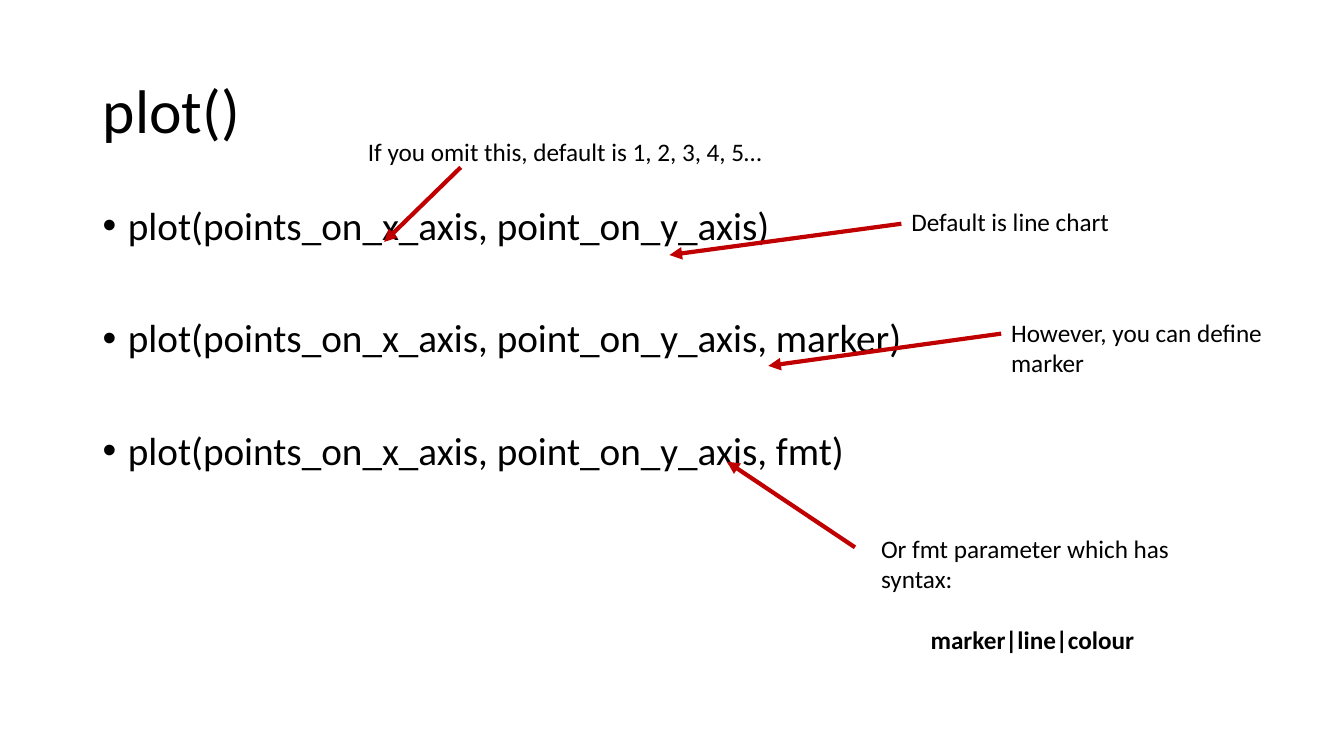
import pptx
import pptx.dml.color
import pptx.enum.shapes
import pptx.enum.text
import pptx.oxml
import pptx.oxml.ns
import pptx.util
from pptx.util import Inches

COLOURS = {"text": "000000", "arrow": "C00000"}
ALIGN = pptx.enum.text.PP_ALIGN
ANCHOR = pptx.enum.text.MSO_ANCHOR


def rgb(name):
    return pptx.dml.color.RGBColor.from_string(COLOURS[name])


def add_xml(parent, tag, **attributes):
    element = pptx.oxml.parse_xml(f"<a:{tag} {pptx.oxml.ns.nsdecls('a')}/>")
    for name, value in attributes.items():
        element.set(name, value)
    parent.append(element)


class PlotSlide:
    font = "Calibri"
    title_size, call_size, note_size = 44, 28, 18
    arrow_width = 3

    def __init__(self, presentation):
        self.slide = presentation.slides.add_slide(presentation.slide_layouts[5])

    def format_paragraph(self, paragraph, size, bold=False):
        paragraph.alignment = ALIGN.LEFT
        for run in paragraph.runs:
            run.font.name = self.font
            run.font.size = pptx.util.Pt(size)
            run.font.bold = bold
            run.font.color.rgb = rgb("text")

    def title(self, text, left, top, width, height):
        heading = self.slide.shapes.title
        heading.left, heading.top = Inches(left), Inches(top)
        heading.width, heading.height = Inches(width), Inches(height)
        frame = heading.text_frame
        frame.text = text
        frame.vertical_anchor = ANCHOR.MIDDLE
        frame.paragraphs[0].line_spacing = 0.9
        self.format_paragraph(frame.paragraphs[0], self.title_size)

    def text_frame(self, left, top, width, height):
        box = self.slide.shapes.add_textbox(
            Inches(left), Inches(top), Inches(width), Inches(height))
        box.text_frame.word_wrap = True
        return box.text_frame

    def bullets(self, calls, left, top, width, height, first_gap, gap):
        frame = self.text_frame(left, top, width, height)
        frame.text = "\n".join(calls)
        for index, paragraph in enumerate(frame.paragraphs):
            self.format_paragraph(paragraph, self.call_size)
            paragraph.line_spacing = 0.9
            paragraph.space_before = pptx.util.Pt(gap if index else first_gap)
            properties = paragraph._p.get_or_add_pPr()
            properties.set("marL", str(Inches(0.25)))
            properties.set("indent", str(-Inches(0.25)))
            add_xml(properties, "buFont", typeface="Arial")
            add_xml(properties, "buChar", char="•")

    def note(self, text, left, top, width, height, syntax=None):
        """Add a remark, with an optional bold centred line one line below it."""
        frame = self.text_frame(left, top, width, height)
        frame.auto_size = pptx.enum.text.MSO_AUTO_SIZE.SHAPE_TO_FIT_TEXT
        frame.text = text
        self.format_paragraph(frame.paragraphs[0], self.note_size)
        if syntax:
            paragraph = frame.add_paragraph()
            paragraph.text = syntax
            self.format_paragraph(paragraph, self.note_size, bold=True)
            paragraph.alignment = ALIGN.CENTER
            paragraph.space_before = pptx.util.Pt(22)

    def arrow(self, start, end):
        connector = self.slide.shapes.add_connector(
            pptx.enum.shapes.MSO_CONNECTOR.STRAIGHT,
            *(Inches(value) for value in (*start, *end)))
        connector.line.color.rgb = rgb("arrow")
        connector.line.width = pptx.util.Pt(self.arrow_width)
        add_xml(connector.line._get_or_add_ln(), "tailEnd", type="triangle")
        add_xml(connector._element.spPr, "effectLst")


def main():
    presentation = pptx.Presentation()
    presentation.slide_width = Inches(13.33)
    presentation.slide_height = Inches(7.5)

    slide = PlotSlide(presentation)
    slide.title("plot()", 0.92, 0.4, 11.5, 1.45)
    axes = "points_on_x_axis, point_on_y_axis"
    calls = [f"plot({axes}{extra})" for extra in ("", ", marker", ", fmt")]
    slide.bullets(calls, 0.92, 2, 11.5, 4.76, first_gap=10, gap=50)

    slide.arrow((8.94, 2.22), (6.64, 2.53))
    slide.note("Default is line chart", 8.94, 2, 3.2, 0.4)
    slide.arrow((9.93, 3.31), (7.62, 3.63))
    slide.note("However, you can define marker", 9.93, 3.1, 3.2, 0.71)
    slide.arrow((8.48, 5.43), (7.21, 4.58))
    slide.note("Or fmt parameter which has syntax:", 8.64, 5.24, 3.2, 1.31,
               syntax="marker|line|colour")
    slide.arrow((4.57, 1.66), (3.81, 2.4))
    slide.note("If you omit this, default is 1, 2, 3, 4, 5…", 3.55, 1.3, 4.39, 0.4)

    presentation.save("out.pptx")


if __name__ == "__main__":
    main()
